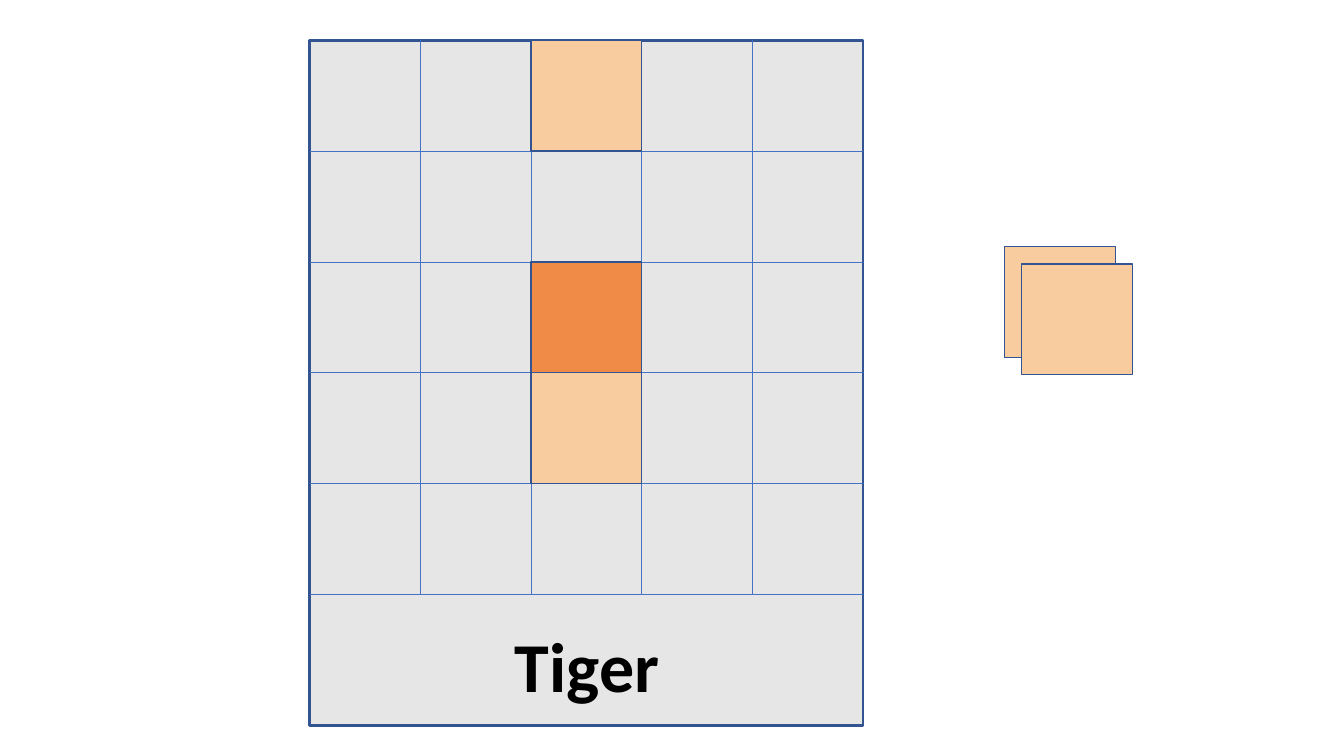
"""Build the Tiger movement card with its five-by-five grid and two spare tiles."""
from lxml import etree
from pptx import Presentation
from pptx.dml.color import RGBColor
from pptx.enum.shapes import MSO_CONNECTOR, MSO_SHAPE
from pptx.enum.text import MSO_ANCHOR, PP_ALIGN
from pptx.oxml.ns import qn
from pptx.util import Cm, Pt

RECT = MSO_SHAPE.RECTANGLE
STRAIGHT = MSO_CONNECTOR.STRAIGHT
CENTER = PP_ALIGN.CENTER
MIDDLE = MSO_ANCHOR.MIDDLE
BLANK_LAYOUT = 6

COLORS = {
    "card": "E7E6E6",
    "border": "325491",
    "grid": "4472C4",
    "piece": "EF8B47",
    "move": "F9CC9F",
    "text": "000000",
}

CELL = 2.79
COUNT = 5
LEFT, TOP = 7.8, 1.02
SIDE = CELL * COUNT
CARD_HEIGHT = 17.27
PIECE_ROW = PIECE_COLUMN = 2
MOVE_ROWS = (3, 0)
SPARE_LEFT, SPARE_TOP, SPARE_STEP = 25.32, 6.22, 0.43


class Slide:
    """Holds the style and the current slide."""

    def __init__(self, s, font, colors):
        self.s = s
        self.font = font
        self.colors = {name: RGBColor.from_string(c) for name, c in colors.items()}

    def rect(self, x, y, w, h, fill, weight=1):
        sp = self.s.shapes.add_shape(RECT, Cm(x), Cm(y), Cm(w), Cm(h))
        sp.shadow.inherit = False
        sp.fill.solid()
        sp.fill.fore_color.rgb = self.colors[fill]
        sp.line.color.rgb = self.colors["border"]
        sp.line.width = Pt(weight)

    def line(self, x1, y1, x2, y2):
        cxn = self.s.shapes.add_connector(STRAIGHT, Cm(x1), Cm(y1), Cm(x2), Cm(y2))
        cxn.line.color.rgb = self.colors["grid"]
        cxn.line.width = Pt(0.5)
        etree.SubElement(cxn._element.spPr, qn("a:effectLst"))

    def text(self, x, y, w, h, text, size):
        tf = self.s.shapes.add_textbox(Cm(x), Cm(y), Cm(w), Cm(h)).text_frame
        tf.word_wrap = True
        tf.vertical_anchor = MIDDLE
        tf.text = text
        p = tf.paragraphs[0]
        p.alignment = CENTER
        font = p.runs[0].font
        font.name = self.font
        font.size = Pt(size)
        font.bold = True
        font.color.rgb = self.colors["text"]

    def tile(self, row, column, fill):
        self.rect(LEFT + column * CELL, TOP + row * CELL, CELL, CELL, fill)


prs = Presentation()
prs.slide_width, prs.slide_height = Cm(33.87), Cm(19.05)
slide = Slide(prs.slides.add_slide(prs.slide_layouts[BLANK_LAYOUT]), "Calibri", COLORS)

slide.rect(LEFT, TOP, SIDE, CARD_HEIGHT, "card", 2)
slide.text(8.23, 15.54, 13.13, 2.39, "Tiger", 50)

for i in range(1, COUNT):
    x = LEFT + i * CELL
    slide.line(x, TOP, x, TOP + SIDE)
for i in range(1, COUNT + 1):
    y = TOP + i * CELL
    slide.line(LEFT, y, LEFT + SIDE, y)

slide.tile(PIECE_ROW, PIECE_COLUMN, "piece")
for i in range(2):
    shift = i * SPARE_STEP
    slide.rect(SPARE_LEFT + shift, SPARE_TOP + shift, CELL, CELL, "move")
for row in MOVE_ROWS:
    slide.tile(row, PIECE_COLUMN, "move")

prs.save("out.pptx")
